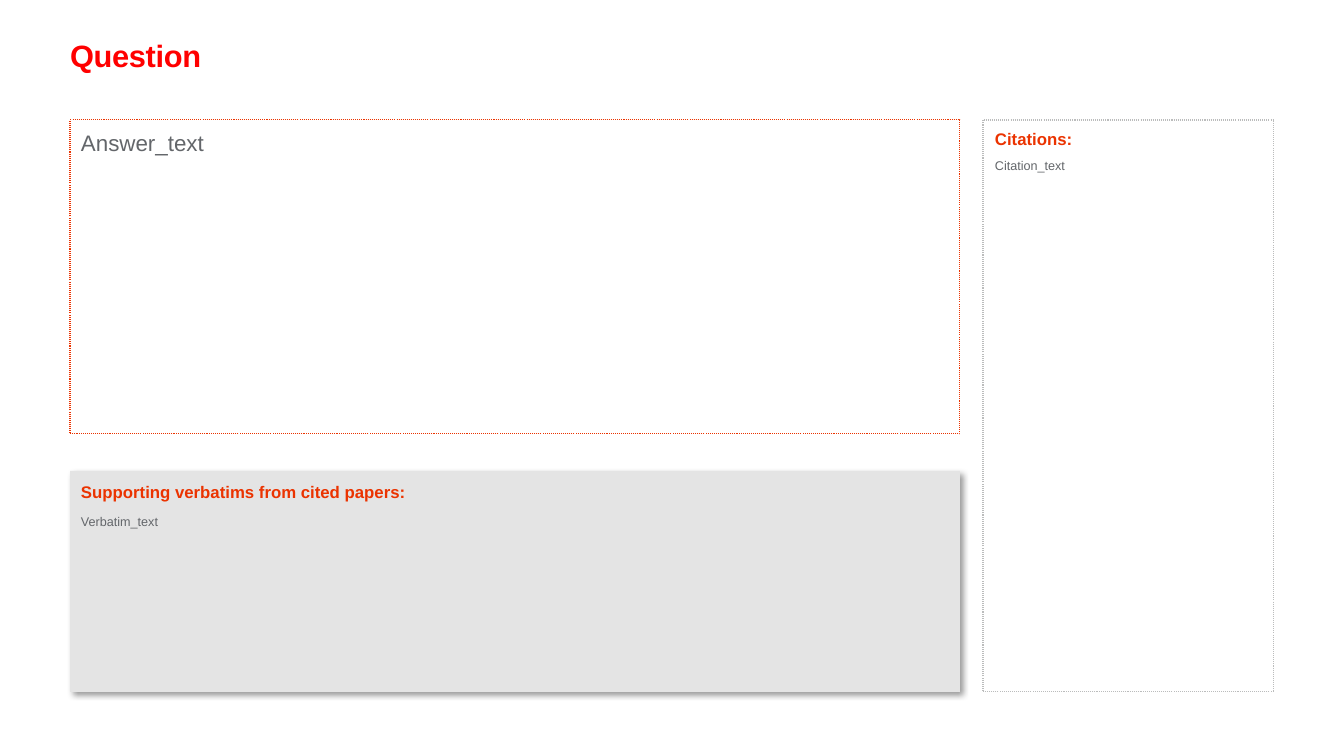
from lxml import etree
from pptx import Presentation
from pptx.dml.color import RGBColor
from pptx.enum.dml import MSO_LINE
from pptx.enum.shapes import MSO_SHAPE
from pptx.enum.text import MSO_ANCHOR, MSO_AUTO_SIZE, PP_ALIGN
from pptx.util import Pt

RECT = MSO_SHAPE.RECTANGLE
DOTS = MSO_LINE.ROUND_DOT
TOP = MSO_ANCHOR.TOP
LEFT = PP_ALIGN.LEFT
FIXED = MSO_AUTO_SIZE.NONE
GROW = MSO_AUTO_SIZE.SHAPE_TO_FIT_TEXT

RED = RGBColor(0xFF, 0x00, 0x00)
ORANGE = RGBColor(0xEB, 0x33, 0x00)
SLATE = RGBColor(0x63, 0x66, 0x6A)
SILVER = RGBColor(0xBB, 0xBC, 0xBC)
PALE = RGBColor(0xE4, 0xE4, 0xE4)

SCALE = 12192000 / 1344
SHADOW = """<a:effectLst xmlns:a="http://schemas.openxmlformats.org/drawingml/2006/main">
<a:outerShdw blurRad="50800" dist="38100" dir="2700000" algn="tl" rotWithShape="0">
<a:srgbClr val="000000"><a:alpha val="40000"/></a:srgbClr></a:outerShdw></a:effectLst>"""


def px(*nums):
    return [round(n * SCALE) for n in nums]


def write(shape, text, fit, size, color, bold):
    frame = shape.text_frame
    form = dict(margin_left=0, margin_right=0, margin_top=0, margin_bottom=0,
                word_wrap=True, vertical_anchor=TOP, auto_size=fit)
    for key, val in form.items():
        setattr(frame, key, val)
    para = frame.paragraphs[0]
    para.alignment = LEFT
    run = para.add_run()
    run.text = text
    for key, val in dict(name="Arial", size=Pt(size), bold=bold).items():
        setattr(run.font, key, val)
    run.font.color.rgb = color
    return run


deck = Presentation()
deck.slide_width, deck.slide_height = px(1344, 756)
slide = deck.slides.add_slide(deck.slide_layouts[5])

title = slide.shapes.title
title.left, title.top, title.width, title.height = px(70, 37, 1204, 81)
run = write(title, "Question", FIXED, 22, RED, True)
run.font._element.set("spc", "-20")

panels = [
    ((70, 120, 890, 314), None, ORANGE),
    ((70, 471, 890, 221), PALE, None),
    ((983, 120, 291, 572), None, SILVER),
]
for box, fill, edge in panels:
    panel = slide.shapes.add_shape(RECT, *px(*box))
    panel.shadow.inherit = False
    if fill:
        panel.fill.solid()
        panel.fill.fore_color.rgb = fill
        props = panel._element.spPr
        props.remove(props.find("{*}effectLst"))
        panel.line.fill.background()
        props.append(etree.fromstring(SHADOW))
    else:
        panel.fill.background()
        panel.line.color.rgb = edge
        panel.line.width = Pt(0.75)
        panel.line.dash_style = DOTS

labels = [
    ("Answer_text", (81, 129, 860, 27), 16, SLATE, False),
    ("Citation_text", (995, 158, 278, 15), 9, SLATE, False),
    ("Verbatim_text", (81, 514, 868, 15), 9, SLATE, False),
    ("Citations:", (995, 129, 248, 20), 12, ORANGE, True),
    ("Supporting verbatims from cited papers:", (81, 482, 340, 20), 12, ORANGE, True),
]
for text, box, size, color, bold in labels:
    label = slide.shapes.add_textbox(*px(*box))
    write(label, text, GROW, size, color, bold)

deck.save("out.pptx")
